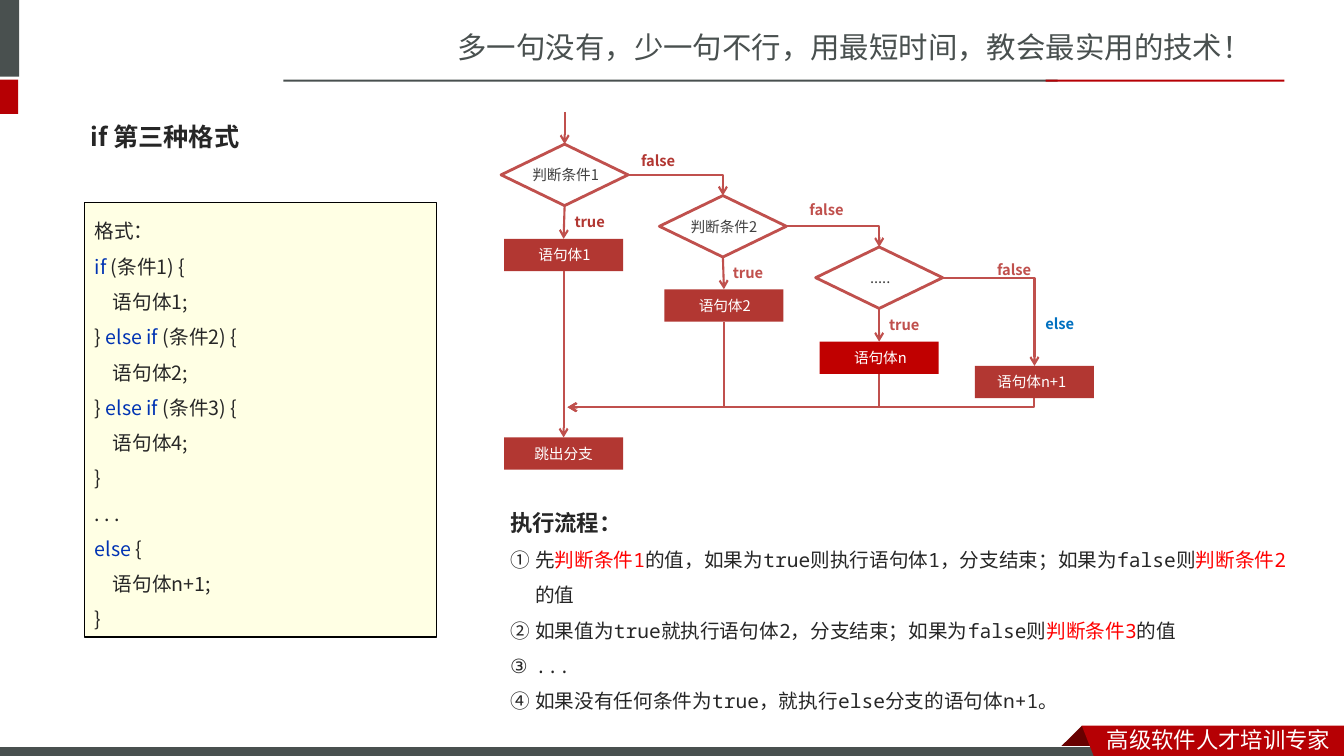
from dataclasses import dataclass

from lxml import etree
from pptx import Presentation
from pptx import util as u
from pptx.dml.color import RGBColor
from pptx.enum import shapes as sh, text as tx
from pptx.oxml.ns import qn

PX = 9144  # EMU per px, 100 px to the inch
SLATE = RGBColor(0x49, 0x50, 0x4F)
CRIMSON = RGBColor(0xB6, 0x00, 0x04)
MAROON = RGBColor(0x68, 0x00, 0x00)
BRICK = RGBColor(0xB2, 0x37, 0x32)
ROSE = RGBColor(0xC0, 0x50, 0x4D)
CHERRY = RGBColor(0xC0, 0x00, 0x00)
RED = RGBColor(0xFF, 0x00, 0x00)
NAVY = RGBColor(0x00, 0x33, 0xB3)
BLUE = RGBColor(0x00, 0x70, 0xC0)
CREAM = RGBColor(0xFF, 0xFF, 0xE4)
WHITE = RGBColor(0xFF, 0xFF, 0xFF)
BLACK = RGBColor(0x00, 0x00, 0x00)
INK = RGBColor(0x26, 0x26, 0x26)
GREY = RGBColor(0x40, 0x40, 0x40)
JP, SC, MONO = "Noto Sans CJK JP", "Noto Sans CJK SC", "Noto Sans Mono"
TOP, LEFT, BOTTOM, RIGHT = range(4)
BODY_W, BODY_H, MERGE_X, MERGE_Y = 118, 32, 563, 404


@dataclass(frozen=True)
class Style:
    size: float
    color: RGBColor
    bold: bool = False
    latin: str = JP
    asian: str = JP
    accent: RGBColor = RED


@dataclass(frozen=True)
class Step:
    """One test: its diamond, the body run on true, and the false label."""
    at: tuple[int, int]
    test: str
    body_at: tuple[int, int]
    body: str
    false_at: tuple[int, int]
    ink: RGBColor = ROSE
    fill: RGBColor = BRICK


STEPS = [
    Step((497, 143), "判断条件1", (500, 237), "语句体1", (626, 146), BRICK),
    Step((654, 194), "判断条件2", (659, 287), "语句体2", (793, 194)),
    Step((809, 245), ".....", (813, 339), "语句体n", (979, 254), fill=CHERRY),
]
BARS = [
    (-6, 0, 25, 76, SLATE), (-6, 79, 24, 34, CRIMSON),
    (281, 79, 768, 2, SLATE), (1037, 79, 237, 2, CRIMSON),
]
# Text between bars takes the accent colour; leading tabs set the indent.
CODE = ["格式：", "|if| (条件1) {", "\t语句体1;", "} |else if |(条件2) {",
        "\t语句体2;", "} |else if |(条件3) {", "\t语句体4;", "}", ". . .",
        "|else |{", "\t语句体n+1;", "}"]
FLOW = [
    "先|判断条件1|的值，如果为true则执行语句体1，分支结束；如果为false则|判断条件2|的值",
    "如果值为true就执行语句体2，分支结束；如果为false则|判断条件3|的值",
    "...",
    "如果没有任何条件为true，就执行else分支的语句体n+1。",
]

deck = Presentation()
deck.slide_width, deck.slide_height = 1333 * PX, 750 * PX
slide = deck.slides.add_slide(deck.slide_layouts[6])
art = slide.shapes


def put(obj, **vals) -> None:
    for key, val in vals.items():
        setattr(obj, key, val)


def write(para, line: str, style: Style) -> None:
    for num, part in enumerate(line.split("|")):
        if not part:
            continue
        run = para.add_run()
        run.text = part
        put(run.font, size=u.Pt(style.size), bold=style.bold, name=style.latin)
        run.font.color.rgb = style.accent if num % 2 else style.color
        etree.SubElement(run.font._element, qn("a:ea"), typeface=style.asian)


def label(x: int, y: int, w: int, h: int, line: str, style: Style, **vals):
    frame = art.add_textbox(x * PX, y * PX, w * PX, h * PX).text_frame
    put(frame, word_wrap=True, **vals)
    write(frame.paragraphs[0], line, style)
    return frame


def paint(shape, fill=None, line=None, width: float = 1):
    shape.shadow.inherit = False
    if fill is None:
        shape.fill.background()
    else:
        shape.fill.solid()
        shape.fill.fore_color.rgb = fill
    if line is None:
        shape.line.fill.background()
    else:
        shape.line.color.rgb = line
        shape.line.width = u.Pt(width)
    return shape


def box(x: int, y: int, w: int, h: int, *look, kind=sh.MSO_SHAPE.RECTANGLE):
    return paint(art.add_shape(kind, x * PX, y * PX, w * PX, h * PX), *look)


def poly(points: list[tuple[int, int]], fill: RGBColor) -> None:
    form = art.build_freeform(*points[0], scale=PX)
    form.add_line_segments(points[1:])
    paint(form.convert_to_shape(), fill)


def body(x: int, y: int, line: str, pad: int = 34, fill: RGBColor = BRICK):
    shape = box(x, y, BODY_W, BODY_H, fill)
    frame = shape.text_frame
    put(frame, margin_left=pad * PX, margin_right=0, margin_top=0,
        margin_bottom=0, vertical_anchor=tx.MSO_ANCHOR.MIDDLE)
    frame.paragraphs[0].alignment = tx.PP_ALIGN.LEFT
    write(frame.paragraphs[0], line, Style(10.5, WHITE))
    return shape


def spot(shape, side: int) -> tuple[int, int]:
    """Middle of a side, in EMU."""
    dx, dy = {TOP: (1, 0), LEFT: (0, 1), BOTTOM: (1, 2), RIGHT: (2, 1)}[side]
    return shape.left + shape.width * dx // 2, shape.top + shape.height * dy // 2


def link(start, end, bent: bool = False, tip: str = "tailEnd") -> None:
    """Arrow between ends, each a px point or a (shape, side) pair."""
    joins = [None if isinstance(e[0], int) else e for e in (start, end)]
    ends = [spot(*j) if j else (e[0] * PX, e[1] * PX)
            for e, j in zip((start, end), joins)]
    kind = sh.MSO_CONNECTOR.ELBOW if bent else sh.MSO_CONNECTOR.STRAIGHT
    wire = art.add_connector(kind, *ends[0], *ends[1])
    for join, attach in zip(joins, (wire.begin_connect, wire.end_connect)):
        if join:
            attach(*join)
    wire.line.color.rgb = ROSE
    wire.line.width = u.Pt(1.5)
    prop = wire._element.spPr
    if bent:
        prop.find(qn("a:prstGeom")).set("prst", "bentConnector2")
    etree.SubElement(prop.find(qn("a:ln")), qn(f"a:{tip}"), type="arrow")
    etree.SubElement(prop, qn("a:effectLst"))


def frame_page() -> None:
    label(444, 24, 798, 45, "多一句没有，少一句不行，用最短时间，教会最实用的技术！",
          Style(21, SLATE, latin=SC, asian=SC))
    for *rect, fill in BARS:
        box(*rect, fill)
    poly([(1073, 720), (1095, 742), (1094, 743), (1052, 743), (1051, 742)], MAROON)
    box(-1, 741, 1100, 12, SLATE, WHITE, 0.75)
    poly([(1073, 720), (1333, 720), (1333, 754), (1086, 753)], CRIMSON)
    label(1088, 715, 245, 37, "高级软件人才培训专家",
          Style(16, WHITE, latin=SC, asian=SC))
    label(80, 107, 236, 57, "if 第三种格式", Style(18, INK, True),
          vertical_anchor=tx.MSO_ANCHOR.MIDDLE)


def list_code() -> None:
    frame = box(84, 201, 349, 431, CREAM, BLACK).text_frame
    put(frame, word_wrap=True, vertical_anchor=tx.MSO_ANCHOR.TOP)
    for num, line in enumerate(CODE):
        para = frame.add_paragraph() if num else frame.paragraphs[0]
        put(para, line_spacing=1.5, alignment=tx.PP_ALIGN.LEFT)
        if line.startswith("\t"):
            para._p.get_or_add_pPr().set("marL", str(18 * PX))
        write(para, line.strip("\t"), Style(14, INK, accent=NAVY))


def list_flow() -> None:
    frame = label(496, 487, 805, 188, "执行流程：", Style(16, INK, True))
    frame.paragraphs[0].line_spacing = 1.5
    for line in FLOW:
        para = frame.add_paragraph()
        para.line_spacing = 1.5
        prop = para._p.get_or_add_pPr()
        prop.set("marL", str(25 * PX))
        prop.set("indent", str(-25 * PX))
        etree.SubElement(prop, qn("a:buAutoNum"), type="circleNumDbPlain")
        write(para, line, Style(14, INK, latin=MONO))


def draw_chart() -> None:
    tests, bodies = [], []
    for step in STEPS:
        x, y = step.at
        test = box(x, y, 126, 61, None, ROSE, 2,
                   kind=sh.MSO_SHAPE.FLOWCHART_DECISION)
        text = label(x + 20, y + 17, 88, 28, step.test, Style(10.5, GREY))
        text.paragraphs[0].alignment = tx.PP_ALIGN.CENTER
        bold = Style(10.5, step.ink, True)
        label(x + 63, y + 63, 66, 28, "true", bold)
        label(*step.false_at, 98, 28, "false", bold)
        tests.append(test)
        bodies.append(body(*step.body_at, step.body, fill=step.fill))
        link((test, BOTTOM), (bodies[-1], TOP))
    bodies.append(body(967, 363, "语句体n+1", 22))
    label(1027, 307, 98, 28, "else", Style(10.5, BLUE, True))
    leave = body(500, 434, "跳出分支", 30)
    link((560, 111), (tests[0], TOP))
    link((bodies[0], BOTTOM), (leave, TOP))
    for test, goal in zip(tests, tests[1:] + bodies[-1:]):
        link((test, RIGHT), (goal, TOP), bent=True)
    for item in bodies[1:]:
        link((MERGE_X, MERGE_Y), (item, BOTTOM), bent=True, tip="headEnd")


frame_page()
list_code()
list_flow()
draw_chart()
deck.save("out.pptx")
